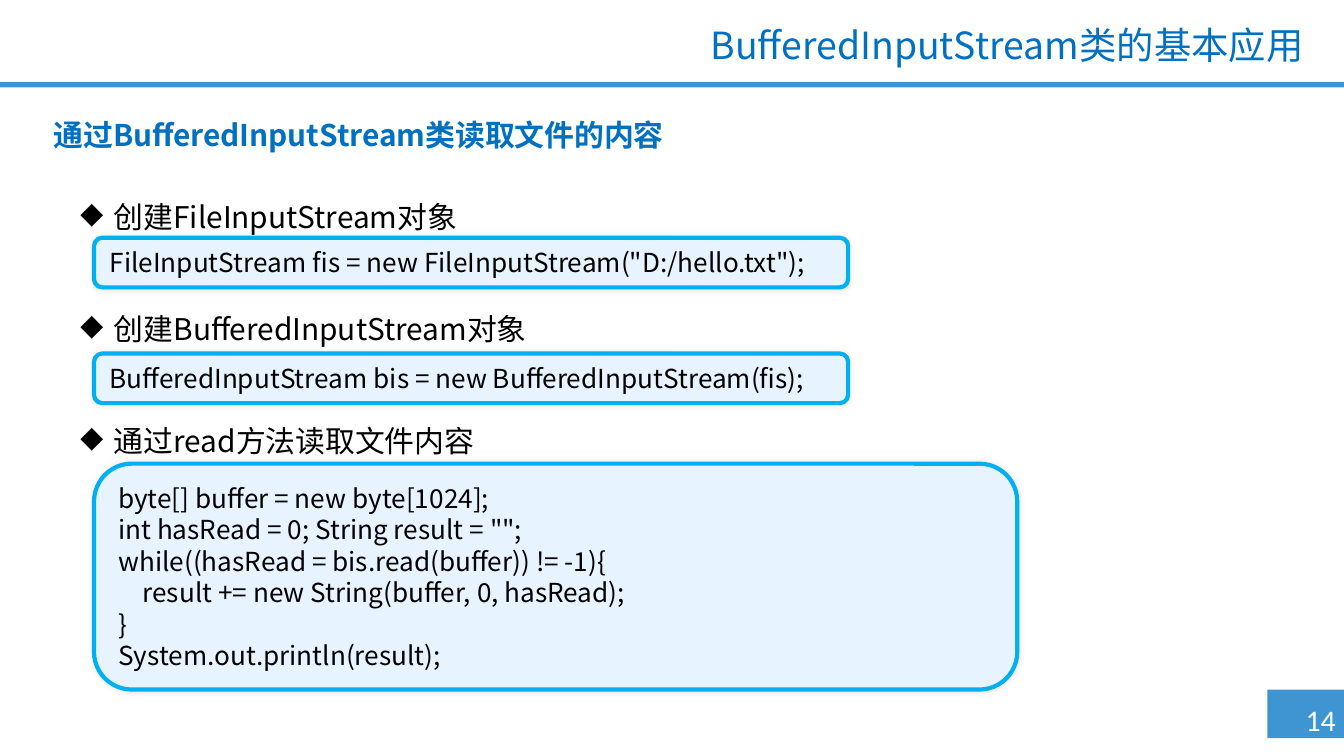
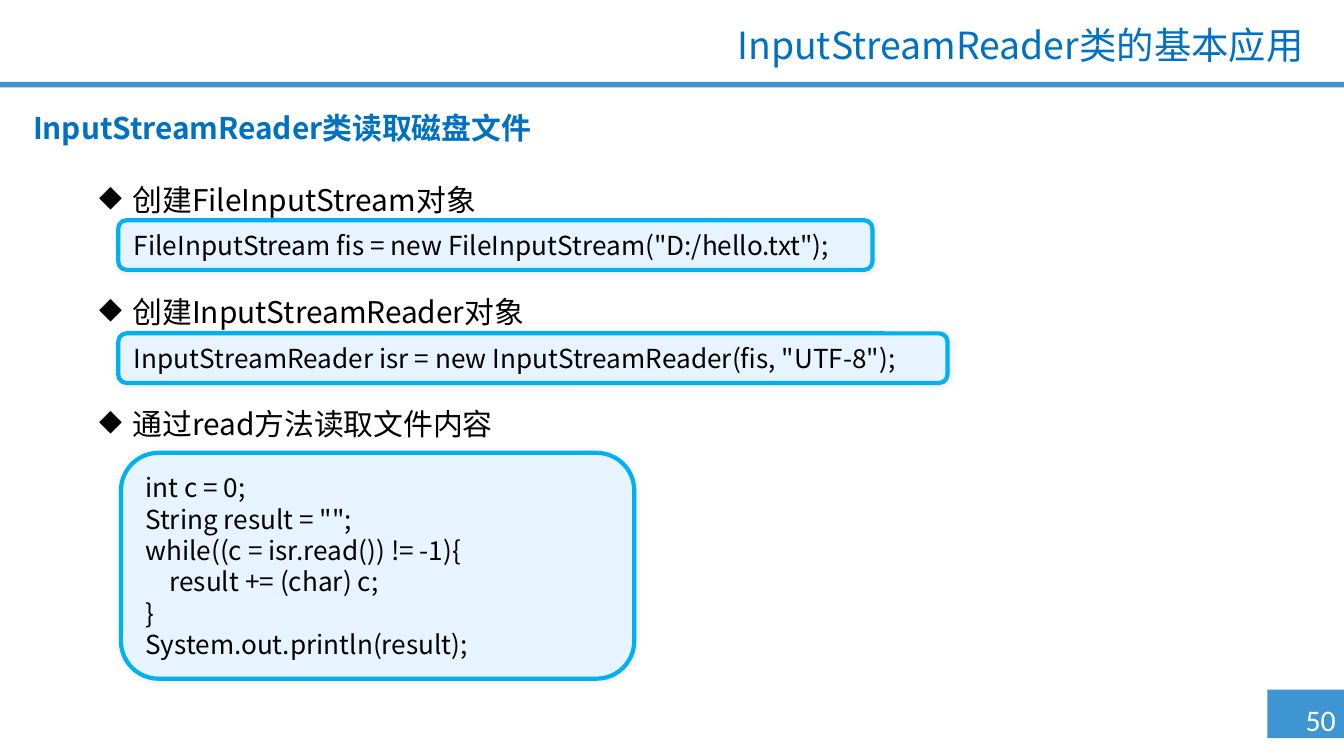
from dataclasses import dataclass

from lxml.etree import SubElement
from pptx import Presentation
from pptx.dml.color import RGBColor
from pptx.enum.shapes import MSO_SHAPE
from pptx.enum.text import MSO_ANCHOR, PP_ALIGN
from pptx.oxml.ns import qn
from pptx.util import Pt


@dataclass(frozen=True)
class Theme:
    band: str = "3F95D2"
    accent: str = "0070C0"
    code_fill: str = "E7F4FF"
    code_line: str = "00B0F0"
    ink: str = "000000"
    paper: str = "FFFFFF"
    main_font: str = "Noto Sans CJK SC"
    title_font: str = "Roboto"
    number_font: str = "Calibri"
    title_size: int = 20
    body_size: int = 16
    code_size: int = 14


def apply(target, values):
    for name, value in values.items():
        setattr(target, name, value)


class Deck:
    def __init__(self, theme):
        self.theme = theme
        self.presentation = Presentation()
        apply(self.presentation, {"slide_width": Pt(720), "slide_height": Pt(405)})
        self.slide = None

    def start_slide(self, number):
        theme = self.theme
        self.slide = self.presentation.slides.add_slide(self.presentation.slide_layouts[6])
        self.bar(679, 369.4, 41, 26)
        self.bar(0, 43.9, 720, 3)
        frame = self.text_frame(695.5, 372.2, 24, 26.6, anchor=MSO_ANCHOR.MIDDLE,
                                margin_left=0, margin_right=0, word_wrap=False)
        paragraph = frame.paragraphs[0]
        paragraph.alignment = PP_ALIGN.CENTER
        self.run(paragraph, str(number), theme.body_size, theme.paper, theme.number_font)

    def bar(self, left, top, width, height):
        bar = self.slide.shapes.add_shape(
            MSO_SHAPE.RECTANGLE, Pt(left), Pt(top), Pt(width), Pt(height))
        bar.shadow.inherit = False
        bar.fill.solid()
        bar.fill.fore_color.rgb = RGBColor.from_string(self.theme.band)
        bar.line.fill.background()

    def text_frame(self, left, top, width, height, anchor=MSO_ANCHOR.TOP, **values):
        box = self.slide.shapes.add_textbox(Pt(left), Pt(top), Pt(width), Pt(height))
        apply(box.text_frame, {"word_wrap": True, "vertical_anchor": anchor, **values})
        return box.text_frame

    def run(self, paragraph, text, size, color, font=None, bold=False):
        run = paragraph.add_run()
        run.text = text
        apply(run.font, {"name": font or self.theme.main_font, "size": Pt(size), "bold": bold})
        run.font.color.rgb = RGBColor.from_string(color)
        SubElement(run.font._element, qn("a:ea"), typeface=self.theme.main_font)

    def title(self, class_name, topic):
        theme = self.theme
        frame = self.text_frame(172.8, 10.8, 532.8, 29.5, anchor=MSO_ANCHOR.MIDDLE)
        paragraph = frame.paragraphs[0]
        apply(paragraph, {"alignment": PP_ALIGN.RIGHT, "line_spacing": 0.9})
        self.run(paragraph, class_name, theme.title_size, theme.accent)
        self.run(paragraph, topic, theme.title_size, theme.accent, theme.title_font)

    def heading(self, text, left, top, width):
        paragraph = self.text_frame(left, top, width, 26.6).paragraphs[0]
        paragraph.alignment = PP_ALIGN.CENTER
        self.run(paragraph, text, self.theme.body_size, self.theme.accent, bold=True)

    def steps(self, texts, left, top):
        frame = self.text_frame(left, top, 657.4, 33)
        for index, text in enumerate(texts):
            paragraph = frame.paragraphs[0] if index == 0 else frame.add_paragraph()
            apply(paragraph, {"line_spacing": Pt(25), "space_before": Pt(35 if index else 5)})
            self.indent(paragraph, 54, -18)
            SubElement(paragraph._p.get_or_add_pPr(), qn("a:buChar"), char="◆")
            self.run(paragraph, text, self.theme.body_size, self.theme.ink)

    def indent(self, paragraph, margin, first_line=0):
        properties = paragraph._p.get_or_add_pPr()
        properties.set("marL", str(Pt(margin)))
        properties.set("indent", str(Pt(first_line)))

    def code(self, lines, left, top, width, height=26.6):
        theme = self.theme
        panel = self.slide.shapes.add_shape(
            MSO_SHAPE.ROUNDED_RECTANGLE, Pt(left), Pt(top), Pt(width), Pt(height))
        panel.adjustments[0] = 0.167
        panel.fill.solid()
        panel.fill.fore_color.rgb = RGBColor.from_string(theme.code_fill)
        panel.line.color.rgb = RGBColor.from_string(theme.code_line)
        panel.line.width = Pt(2.25)
        self.soft_shadow(panel)
        frame = panel.text_frame
        apply(frame, {"word_wrap": True, "vertical_anchor": MSO_ANCHOR.MIDDLE})
        for index, line in enumerate(lines):
            paragraph = frame.paragraphs[0] if index == 0 else frame.add_paragraph()
            paragraph.alignment = PP_ALIGN.LEFT
            if line.startswith("\t"):
                self.indent(paragraph, 13)
            self.run(paragraph, line.strip(), theme.code_size, theme.ink)

    def soft_shadow(self, panel):
        panel.shadow.inherit = False
        effects = panel._element.spPr.find(qn("a:effectLst"))
        shadow = SubElement(effects, qn("a:outerShdw"), blurRad=str(Pt(3)), dist="0", dir="0")
        color = SubElement(shadow, qn("a:srgbClr"), val=self.theme.ink)
        SubElement(color, qn("a:alpha"), val="10000")


def main():
    deck = Deck(Theme())
    topic = "类的基本应用"
    open_file = 'FileInputStream fis = new FileInputStream("D:/hello.txt");'
    print_result = "System.out.println(result);"

    def step_texts(class_name):
        return ["创建FileInputStream对象", f"创建{class_name}对象", "通过read方法读取文件内容"]

    buffered = "BufferedInputStream"
    deck.start_slide(14)
    deck.title(buffered, topic)
    deck.steps(step_texts(buffered), 0, 97.2)
    deck.code([open_file], 50.4, 127.4, 404)
    deck.code([f"{buffered} bis = new {buffered}(fis);"], 50.4, 189.4, 404)
    deck.code([
        "byte[] buffer = new byte[1024];",
        'int hasRead = 0; String result = "";',
        "while((hasRead = bis.read(buffer)) != -1){",
        "\tresult += new String(buffer, 0, hasRead);",
        "}",
        print_result,
    ], 50.4, 248.4, 494.6, 121)
    deck.heading(f"通过{buffered}类读取文件的内容", 18, 59, 348.5)

    reader = "InputStreamReader"
    deck.start_slide(50)
    deck.title(reader, topic)
    deck.steps(step_texts(reader), 10, 87.8)
    deck.code([open_file], 63.4, 118, 404)
    deck.code([f'{reader} isr = new {reader}(fis, "UTF-8");'], 63.4, 178.6, 444.2)
    deck.code([
        "int c = 0;",
        'String result = "";',
        "while((c = isr.read()) != -1){",
        "\tresult += (char) c;",
        "}",
        print_result,
    ], 64.8, 242.6, 275, 121)
    deck.heading(f"{reader}类读取磁盘文件", 8.6, 55.4, 285.1)

    deck.presentation.save("out.pptx")


if __name__ == "__main__":
    main()
